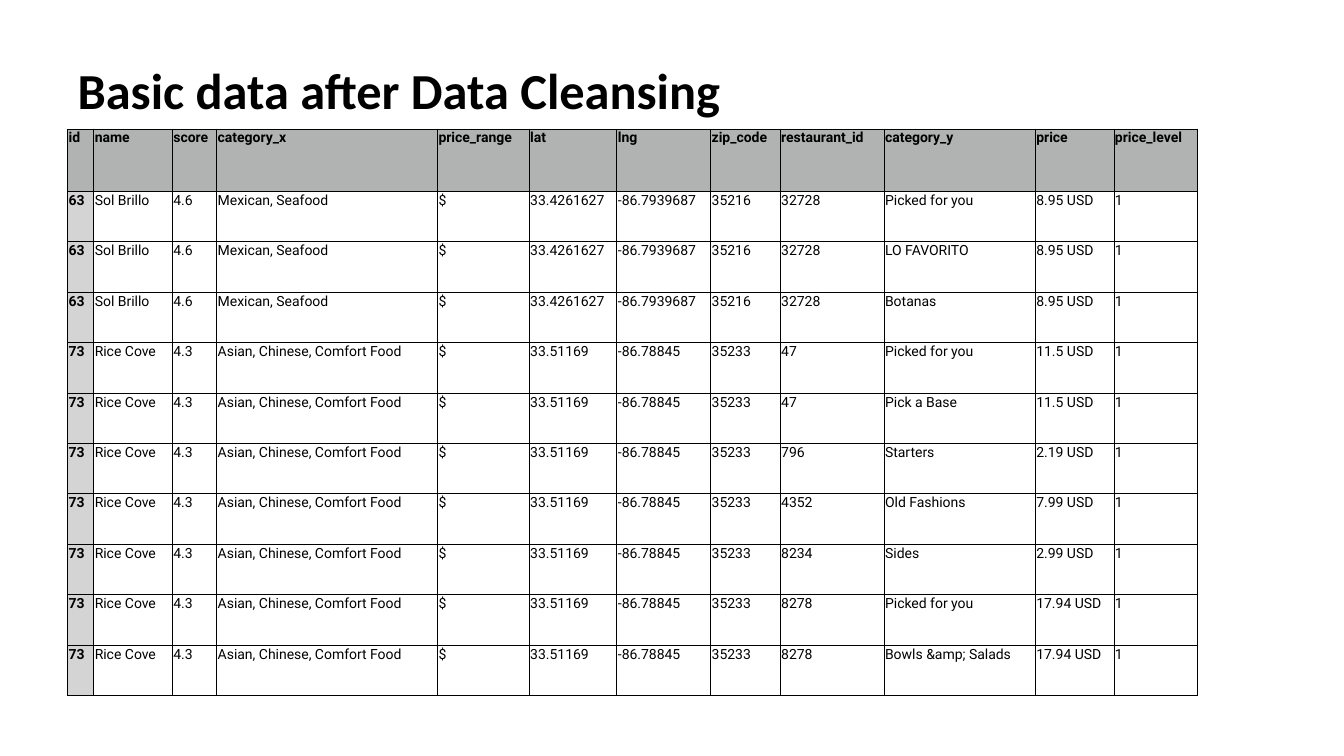
import dataclasses

import lxml.etree
import pptx
import pptx.dml.color
import pptx.enum.text
import pptx.oxml.ns
import pptx.table
import pptx.text.text
import pptx.util

Inches = pptx.util.Inches
Pt = pptx.util.Pt
RGBColor = pptx.dml.color.RGBColor
qn = pptx.oxml.ns.qn

BLACK = RGBColor(0x00, 0x00, 0x00)
HEADER_GRAY = RGBColor(0xB0, 0xB3, 0xB2)
ID_GRAY = RGBColor(0xD4, 0xD4, 0xD4)
NO_STYLE = "{2D5ABB26-0587-4C30-8999-92F81FD0307C}"
HEADER_HEIGHT = 0.62
ROW_HEIGHT = 0.5


@dataclasses.dataclass(frozen=True)
class Column:
    name: str
    width: float


@dataclasses.dataclass(frozen=True)
class Restaurant:
    id: str
    name: str
    score: str
    category: str
    lat: str
    lng: str
    zip_code: str


@dataclasses.dataclass(frozen=True)
class MenuEntry:
    restaurant: Restaurant
    restaurant_id: str
    category: str
    price: str

    def values(self) -> list[str]:
        r = self.restaurant
        return [r.id, r.name, r.score, r.category, "$", r.lat, r.lng, r.zip_code,
                self.restaurant_id, self.category, self.price, "1"]


COLUMNS = [
    Column("id", 0.26),
    Column("name", 0.78),
    Column("score", 0.44),
    Column("category_x", 2.19),
    Column("price_range", 0.91),
    Column("lat", 0.87),
    Column("lng", 0.93),
    Column("zip_code", 0.69),
    Column("restaurant_id", 1.03),
    Column("category_y", 1.5),
    Column("price", 0.78),
    Column("price_level", 0.83),
]
MEXICAN = Restaurant("63", "Sol Brillo", "4.6", "Mexican, Seafood",
                     "33.4261627", "-86.7939687", "35216")
ASIAN = Restaurant("73", "Rice Cove", "4.3", "Asian, Chinese, Comfort Food",
                   "33.51169", "-86.78845", "35233")
ENTRIES = [
    MenuEntry(MEXICAN, "32728", "Picked for you", "8.95 USD"),
    MenuEntry(MEXICAN, "32728", "LO FAVORITO", "8.95 USD"),
    MenuEntry(MEXICAN, "32728", "Botanas", "8.95 USD"),
    MenuEntry(ASIAN, "47", "Picked for you", "11.5 USD"),
    MenuEntry(ASIAN, "47", "Pick a Base", "11.5 USD"),
    MenuEntry(ASIAN, "796", "Starters", "2.19 USD"),
    MenuEntry(ASIAN, "4352", "Old Fashions", "7.99 USD"),
    MenuEntry(ASIAN, "8234", "Sides", "2.99 USD"),
    MenuEntry(ASIAN, "8278", "Picked for you", "17.94 USD"),
    MenuEntry(ASIAN, "8278", "Bowls &amp; Salads", "17.94 USD"),
]


def format_run(p: pptx.text.text._Paragraph, font: str, size: float, bold: bool) -> None:
    r = p.runs[0]
    r.font.name = font
    r.font.size = Pt(size)
    r.font.bold = bold
    r.font.color.rgb = BLACK


def add_borders(cell: pptx.table._Cell) -> None:
    tc_pr = cell._tc.get_or_add_tcPr()
    for side in ("lnL", "lnR", "lnT", "lnB"):
        ln = lxml.etree.SubElement(tc_pr, qn(f"a:{side}"), w=str(Pt(0.75)))
        fill = lxml.etree.SubElement(ln, qn("a:solidFill"))
        lxml.etree.SubElement(fill, qn("a:srgbClr"), val=str(BLACK))


def draw_cell(cell: pptx.table._Cell, text: str, fill: RGBColor | None) -> None:
    cell.margin_left = cell.margin_right = Inches(0.01)
    cell.margin_top = cell.margin_bottom = Inches(0.01)
    cell.vertical_anchor = pptx.enum.text.MSO_ANCHOR.TOP
    add_borders(cell)
    if fill is None:
        cell.fill.background()
    else:
        cell.fill.solid()
        cell.fill.fore_color.rgb = fill
    cell.text_frame.text = text
    format_run(cell.text_frame.paragraphs[0], "Roboto", 10, fill is not None)


def draw_title(slide: pptx.slide.Slide, text: str) -> None:
    sp = slide.shapes.title
    sp.left, sp.top = Inches(0.67), Inches(0.6)
    sp.width, sp.height = Inches(11.65), Inches(1.24)
    tf = sp.text_frame
    tf.text = text
    tf.word_wrap = True
    tf.vertical_anchor = pptx.enum.text.MSO_ANCHOR.TOP
    p = tf.paragraphs[0]
    p.alignment = pptx.enum.text.PP_ALIGN.LEFT
    p.line_spacing = 0.9
    format_run(p, "Calibri", 36, True)


def draw_table(slide: pptx.slide.Slide) -> None:
    rows = [[c.name for c in COLUMNS]] + [e.values() for e in ENTRIES]
    width = sum(c.width for c in COLUMNS)
    height = HEADER_HEIGHT + ROW_HEIGHT * len(ENTRIES)
    frame = slide.shapes.add_table(len(rows), len(COLUMNS), Inches(0.67), Inches(1.28),
                                   Inches(width), Inches(height))
    table = frame.table
    table.first_row = table.horz_banding = False
    table._tbl.tblPr.find(qn("a:tableStyleId")).text = NO_STYLE
    for i, column in enumerate(COLUMNS):
        table.columns[i].width = Inches(column.width)
    for i, row in enumerate(rows):
        table.rows[i].height = Inches(ROW_HEIGHT if i else HEADER_HEIGHT)
        for j, text in enumerate(row):
            fill = HEADER_GRAY if i == 0 else ID_GRAY if j == 0 else None
            draw_cell(table.cell(i, j), text, fill)


def main() -> None:
    prs = pptx.Presentation()
    prs.slide_width, prs.slide_height = Inches(13.33), Inches(7.5)
    slide = prs.slides.add_slide(prs.slide_layouts[5])
    draw_title(slide, "Basic data after Data Cleansing")
    draw_table(slide)
    prs.save("out.pptx")


if __name__ == "__main__":
    main()
